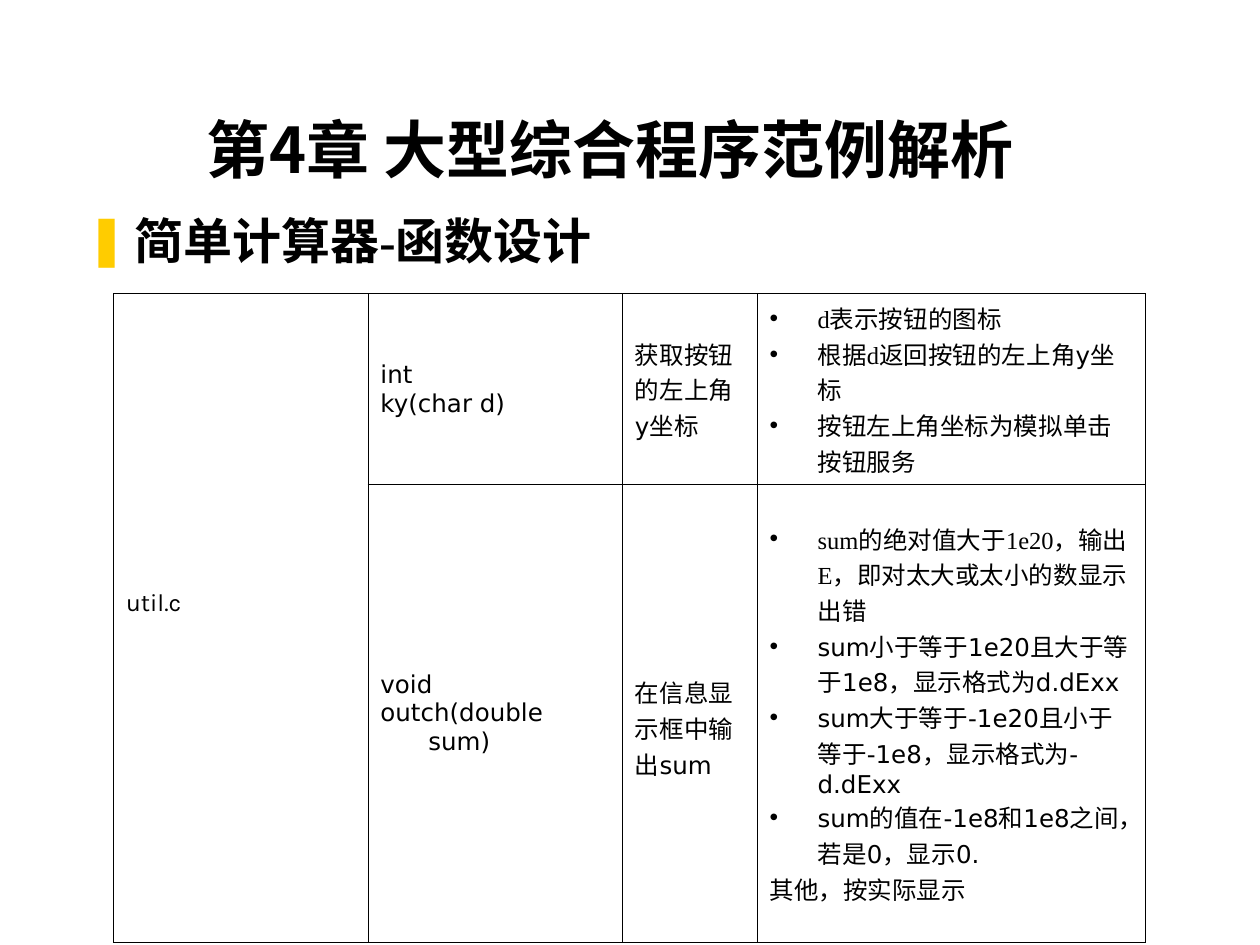
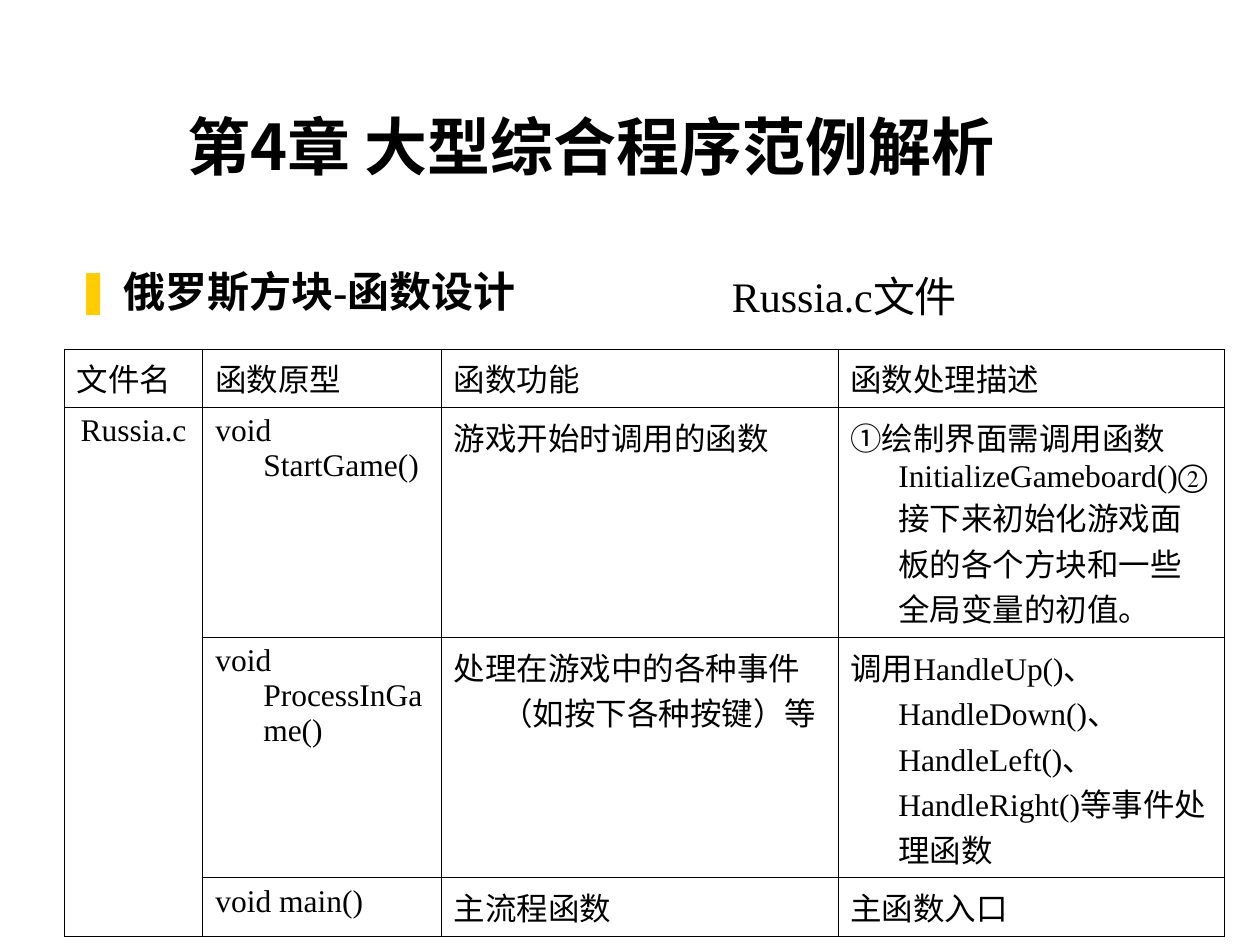
from dataclasses import dataclass, field

from lxml import etree
from pptx import Presentation
from pptx import util as u
from pptx.dml.color import RGBColor
from pptx.enum import text
from pptx.oxml import ns

COLORS = {"ink": "000000", "accent": "FFCC00"}
SERIF, SANS, MONO, CJK = "Times New Roman", "Karla", "DejaVu Sans", "Noto Sans CJK SC"
GRID_COLS, GRID_ROWS = 100, 75
HANGING = 3.8
BORDER = u.Pt(0.45)
BLANK_LINE = 2.3

prs = Presentation()
prs.slide_width, prs.slide_height = u.Inches(10), u.Inches(7.5)


def cols(n: float) -> int:
    return round(prs.slide_width * n / GRID_COLS)


def rows(n: float) -> int:
    return round(prs.slide_height * n / GRID_ROWS)


@dataclass(frozen=True)
class Box:
    left: float
    top: float
    width: float
    height: float

    def emu(self) -> tuple[int, int, int, int]:
        return cols(self.left), rows(self.top), cols(self.width), rows(self.height)


@dataclass(frozen=True)
class Style:
    size: float
    font: str
    bold: bool = False
    align: text.PP_ALIGN = text.PP_ALIGN.LEFT
    hanging: bool = True
    bullet: str = ""
    bullet_color: str = "ink"


@dataclass(frozen=True)
class Para:
    pieces: tuple[tuple[str, str], ...]
    style: Style


@dataclass(frozen=True)
class Cell:
    paras: list[Para]
    row_span: int = 1
    pad_top: float = 0
    pad_bottom: float = 0


@dataclass(frozen=True)
class Grid:
    box: Box
    col_widths: list[float]
    row_heights: list[float]
    cells: dict[tuple[int, int], Cell]
    anchor: text.MSO_ANCHOR = text.MSO_ANCHOR.TOP


@dataclass(frozen=True)
class Page:
    title_box: Box
    heading_box: Box
    heading: Para
    grid: Grid
    labels: list[tuple[Box, Para]] = field(default_factory=list)


TITLE = "第4章 大型综合程序范例解析"
TITLE_STYLE = Style(36, CJK, True, text.PP_ALIGN.CENTER, hanging=False)


def heading_style(size: float) -> Style:
    return Style(size, SERIF, True, text.PP_ALIGN.JUSTIFY, bullet="❚", bullet_color="accent")


def para(content: str, style: Style) -> Para:
    return Para(((content, style.font),), style)


def paras(style: Style, *lines: str) -> list[Para]:
    return [para(line, style) for line in lines]


def sub(parent, tag: str, **attrs: str):
    return etree.SubElement(parent, ns.qn(tag), attrs)


def write_paragraph(p, item: Para) -> None:
    style = item.style
    pPr = p._p.get_or_add_pPr()
    indent = cols(HANGING) if style.hanging else 0
    pPr.set("marL", str(indent))
    pPr.set("indent", str(-indent))
    if style.bullet:
        sub(sub(pPr, "a:buClr"), "a:srgbClr", val=COLORS[style.bullet_color])
        sub(pPr, "a:buFont", typeface="Arial")
        sub(pPr, "a:buChar", char=style.bullet)
    else:
        sub(pPr, "a:buNone")
    p.alignment = style.align
    p.space_before = u.Pt(0)
    for content, font in item.pieces:
        r = p.add_run()
        r.text = content
        r.font.name = font
        r.font.size = u.Pt(style.size)
        r.font.bold = style.bold
        r.font.color.rgb = RGBColor.from_string(COLORS["ink"])
        sub(r._r.get_or_add_rPr(), "a:ea", typeface=CJK)


def write_frame(tf, items: list[Para]) -> None:
    for i, item in enumerate(items):
        write_paragraph(tf.add_paragraph() if i else tf.paragraphs[0], item)


def fill_box(sp, box: Box, item: Para, anchor: text.MSO_ANCHOR = text.MSO_ANCHOR.TOP) -> None:
    sp.left, sp.top, sp.width, sp.height = box.emu()
    tf = sp.text_frame
    tf.word_wrap = True
    tf.auto_size = text.MSO_AUTO_SIZE.NONE
    tf.vertical_anchor = anchor
    write_frame(tf, [item])


def outline_cell(cell) -> None:
    cell.fill.background()
    tcPr = cell._tc.get_or_add_tcPr()
    for i, side in enumerate(("a:lnL", "a:lnR", "a:lnT", "a:lnB")):
        ln = etree.Element(ns.qn(side), w=str(BORDER))
        sub(sub(ln, "a:solidFill"), "a:srgbClr", val=COLORS["ink"])
        tcPr.insert(i, ln)


def add_grid(slide, grid: Grid) -> None:
    shape = slide.shapes.add_table(len(grid.row_heights), len(grid.col_widths), *grid.box.emu())
    table = shape.table
    table.first_row = table.horz_banding = False
    for column, width in zip(table.columns, grid.col_widths):
        column.width = cols(width)
    for row, height in zip(table.rows, grid.row_heights):
        row.height = rows(height)
    for cell in table.iter_cells():
        outline_cell(cell)
    for (r, c), item in grid.cells.items():
        cell = table.cell(r, c)
        if item.row_span > 1:
            cell.merge(table.cell(r + item.row_span - 1, c))
        cell.vertical_anchor = grid.anchor
        cell.margin_left = cell.margin_right = cols(1)
        cell.margin_top = rows(0.5 + item.pad_top)
        cell.margin_bottom = rows(0.5 + item.pad_bottom)
        write_frame(cell.text_frame, item.paras)


def add_page(page: Page) -> None:
    slide = prs.slides.add_slide(prs.slide_layouts[1])
    fill_box(slide.shapes.title, page.title_box, para(TITLE, TITLE_STYLE), text.MSO_ANCHOR.BOTTOM)
    fill_box(slide.placeholders[1], page.heading_box, page.heading)
    add_grid(slide, page.grid)
    for box, item in page.labels:
        fill_box(slide.shapes.add_textbox(*box.emu()), box, item)


def calculator_page() -> Page:
    code = Style(14, MONO)
    point = Style(14, MONO, bullet="•")
    serif_point = Style(14, SERIF, bullet="•")
    cells = {
        (0, 0): Cell(paras(Style(14, SANS), "util.c"), row_span=2, pad_bottom=BLANK_LINE),
        (0, 1): Cell(paras(code, "int", "ky(char d)")),
        (0, 2): Cell(paras(code, "获取按钮", "的左上角", "y坐标")),
        (0, 3): Cell([
            para("d表示按钮的图标", serif_point),
            Para((("根据d返回按钮的", SERIF), ("左上角y坐标", MONO)), point),
            para("按钮左上角坐标为模拟单击按钮服务", point),
        ]),
        (1, 1): Cell(paras(code, "void", "outch(double sum)")),
        (1, 2): Cell(paras(code, "在信息显", "示框中输", "出sum"), pad_top=BLANK_LINE),
        (1, 3): Cell([
            para("sum的绝对值大于1e20，输出E，即对太大或太小的数显示出错", serif_point),
            *paras(
                point,
                "sum小于等于1e20且大于等于1e8，显示格式为d.dExx",
                "sum大于等于-1e20且小于等于-1e8，显示格式为-d.dExx",
                "sum的值在-1e8和1e8之间，若是0，显示0.",
            ),
            para("其他，按实际显示", code),
        ]),
    }
    return Page(
        title_box=Box(5.9, 2.8, 85, 12.5),
        heading_box=Box(5.9, 16.2, 58.3, 6.3),
        heading=Para((("简单计算器-", SERIF), ("函数设计", SANS)), heading_style(28)),
        grid=Grid(Box(9, 23.3, 81.9, 50), [20.2, 20.2, 10.7, 30.8], [13.6, 36.3],
                  cells, text.MSO_ANCHOR.MIDDLE),
    )


def tetris_page() -> Page:
    body = Style(18, SERIF)
    lines = [
        ["文件名", "函数原型", "函数功能", "函数处理描述"],
        ["", "void StartGame()", "游戏开始时调用的函数",
         "①绘制界面需调用函数InitializeGameboard()②接下来初始化游戏面板的各个方块和一些全局变量的初值。"],
        ["", "void ProcessInGame()", "处理在游戏中的各种事件（如按下各种按键）等",
         "调用HandleUp()、HandleDown()、HandleLeft()、HandleRight()等事件处理函数"],
        ["", "void main()", "主流程函数", "主函数入口"],
    ]
    cells = {
        (r, c): Cell(paras(body, content))
        for r, line in enumerate(lines) for c, content in enumerate(line) if content
    }
    file_style = Style(18, SERIF, align=text.PP_ALIGN.CENTER)
    cells[1, 0] = Cell(paras(file_style, "Russia.c"), row_span=3)
    return Page(
        title_box=Box(4.4, 2.5, 85, 12.5),
        heading_box=Box(5, 20.6, 43.9, 45.6),
        heading=para("俄罗斯方块-函数设计", heading_style(24)),
        grid=Grid(Box(5.1, 27.7, 92.1, 40), [11, 18.9, 31.5, 30.7], [4, 16, 16, 4], cells),
        labels=[(Box(57.1, 21, 29.1, 5), para("Russia.c文件", Style(24, SERIF, hanging=False)))],
    )


def main() -> None:
    for page in (calculator_page(), tetris_page()):
        add_page(page)
    prs.save("out.pptx")


if __name__ == "__main__":
    main()
